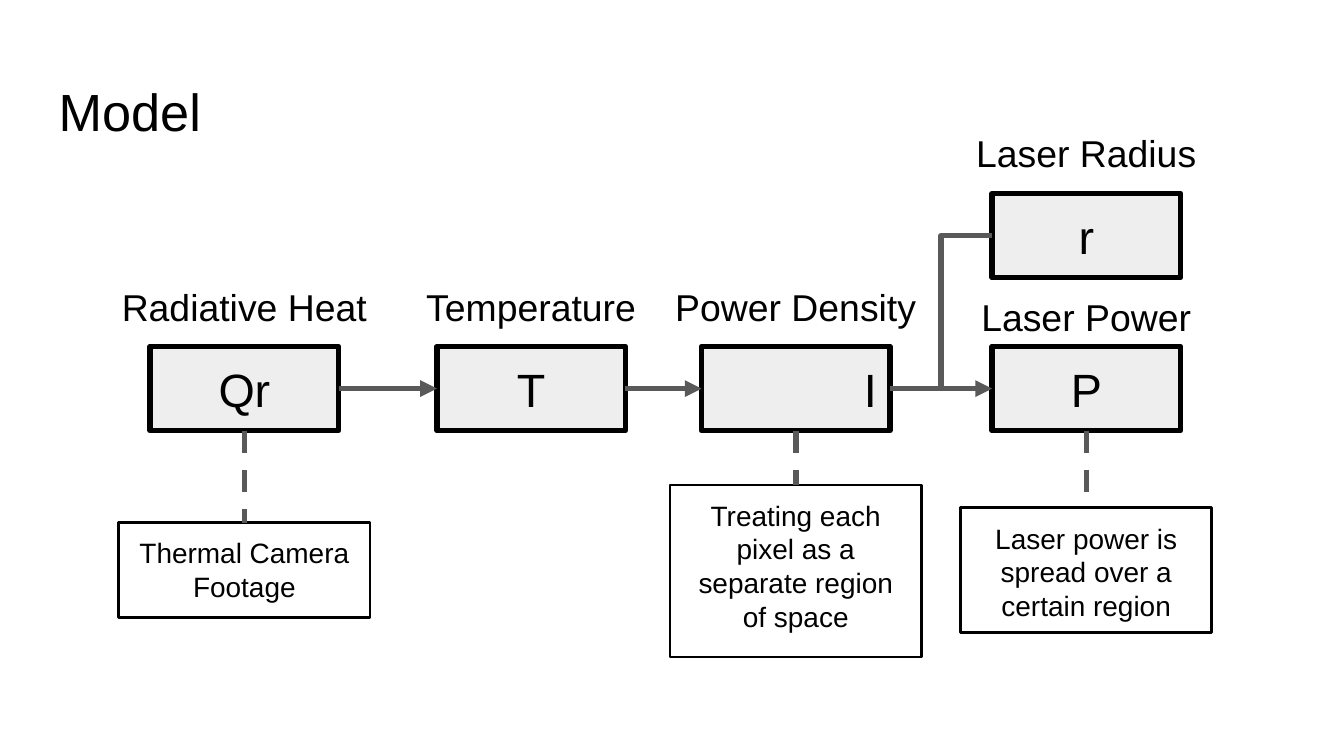
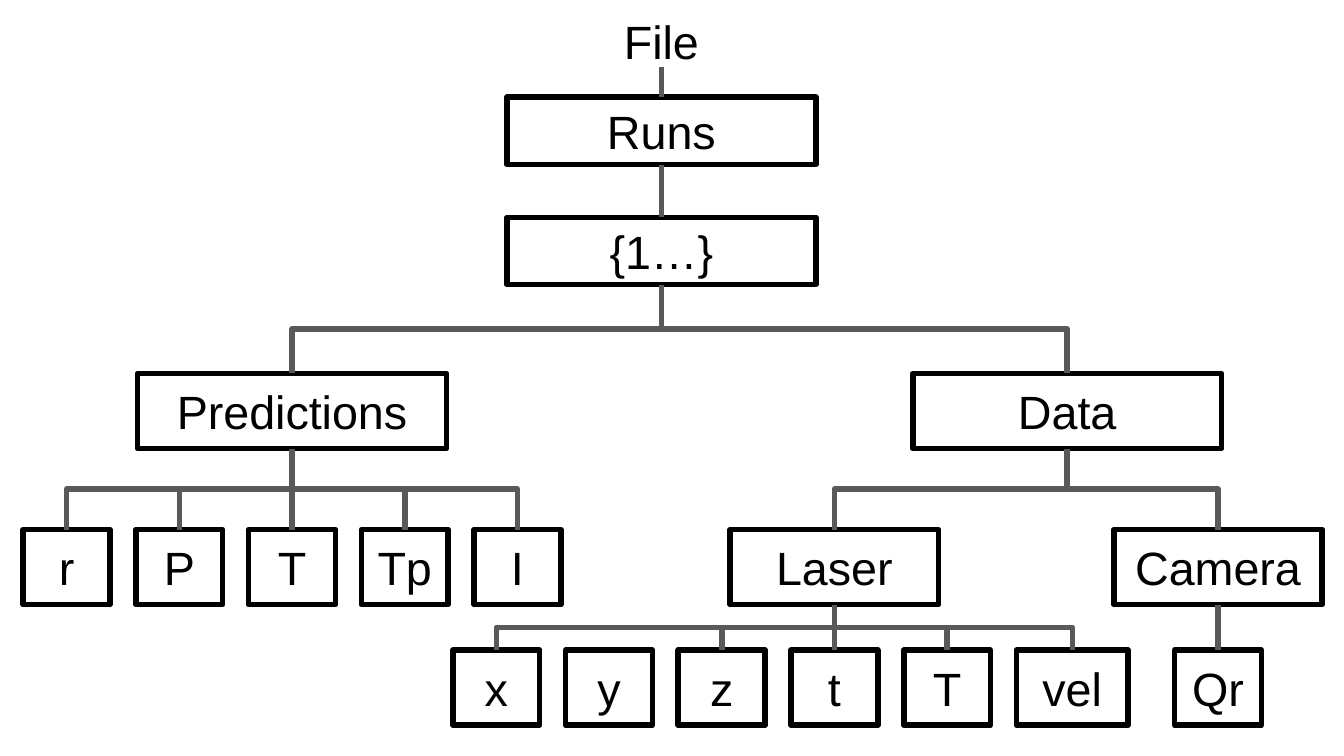
"""Build two slides: the laser model chain and the data file tree."""
from pptx import Presentation
from pptx.dml.color import RGBColor
from pptx.enum.dml import MSO_LINE
from pptx.enum.shapes import MSO_CONNECTOR as LINK, MSO_SHAPE
from pptx.enum.text import MSO_ANCHOR as ANCHOR, PP_ALIGN as ALIGN
from pptx.oxml.ns import qn
from pptx.util import Cm, Pt
from lxml.etree import SubElement

FONT = "Arial"
BLACK, WHITE, PALE, GREY = "000000", "FFFFFF", "EEEEEE", "595959"
INSET = 0.25
HEAVY, THIN = 3, 1.5
TITLE_SIZE, SYMBOL_SIZE, LABEL_SIZE, NOTE_SIZE = 28, 25, 20, 15
TOP, LEFT, BOTTOM, RIGHT = range(4)

STAGE_WIDTH, STAGE_HEIGHT, CHAIN_TOP = 3.56, 1.59, 6.55
LABEL_WIDTH, LABEL_HEIGHT, NOTE_WIDTH = 5.16, 1.17, 4.75
STAGES = [
    ("Qr", "Radiative Heat", 2.84, CHAIN_TOP, 5.13),
    ("T", "Temperature", 8.26, CHAIN_TOP, 5.13),
    ("I", "Power Density", 13.26, CHAIN_TOP, 5.13),
    ("P", "Laser Power", 18.75, CHAIN_TOP, 5.31),
    ("r", "Laser Radius", 18.75, 3.66, 2.21),
]
CHAIN = ["Qr", "T", "I", "P"]
NOTES = [
    ("Qr", "Thermal Camera Footage", 9.88, 1.8),
    ("I", "Treating each pixel as a separate region of space", 9.17, 3.25),
    ("P", "Laser power is spread over a certain region", 9.6, 2.36),
]

GROUPS = [
    ("Runs", 9.58, 1.84, 5.84, 1.27),
    ("{1…}", 9.58, 4.11, 5.84, 1.27),
    ("Predictions", 2.6, 7.06, 5.84, 1.42),
    ("Data", 17.25, 7.06, 5.84, 1.42),
    ("Laser", 13.8, 10.01, 3.94, 1.42),
    ("Camera", 21.05, 10.01, 3.94, 1.42),
]
BRANCHES = [
    ("File", "Runs"), ("Runs", "{1…}"),
    ("{1…}", "Predictions"), ("{1…}", "Data"),
    ("Data", "Laser"), ("Data", "Camera"),
]
LEAF_WIDTH, LEAF_HEIGHT, LEAF_PITCH = 1.64, 1.42, 2.13
WIDE_LEAVES = {"vel": 2.11}
UNLINKED = {"y"}
LEAVES = [
    ("Predictions", ["r", "P", "T", "Tp", "I"], 0.44, 10.01),
    ("Laser", ["x", "y", "z", "t", "T", "vel"], 8.56, 12.29),
    ("Camera", ["Qr"], 22.2, 12.29),
]


def rgb(color):
    return RGBColor.from_string(color)


def write(shape, words, size, align=ALIGN.CENTER, anchor=ANCHOR.TOP):
    frame = shape.text_frame
    frame.word_wrap = True
    frame.vertical_anchor = anchor
    frame.margin_left = frame.margin_right = Cm(INSET)
    frame.margin_top = frame.margin_bottom = Cm(INSET)
    paragraph = frame.paragraphs[0]
    paragraph.text = words
    paragraph.alignment = align
    paragraph.font.name = FONT
    paragraph.font.size = Pt(size)
    paragraph.font.color.rgb = rgb(BLACK)


def stroke(line, color, weight, dashed=False, arrow=False):
    line.color.rgb = rgb(color)
    line.width = Pt(weight)
    if dashed:
        line.dash_style = MSO_LINE.DASH
    outline = line._get_or_add_ln()
    SubElement(outline, qn("a:round"))
    if arrow:
        SubElement(outline, qn("a:tailEnd"), type="triangle")


def add_text(slide, words, place, size, align=ALIGN.CENTER):
    caption = slide.shapes.add_textbox(*map(Cm, place))
    write(caption, words, size, align)
    return caption


def add_box(slide, words, place, fill=None, size=SYMBOL_SIZE, weight=HEAVY,
            align=ALIGN.CENTER, anchor=ANCHOR.MIDDLE):
    box = slide.shapes.add_shape(MSO_SHAPE.RECTANGLE, *map(Cm, place))
    box.shadow.inherit = False
    if fill:
        box.fill.solid()
        box.fill.fore_color.rgb = rgb(fill)
    else:
        box.fill.background()
    stroke(box.line, BLACK, weight)
    write(box, words, size, align, anchor)
    return box


def join(slide, start, start_side, end, end_side, kind=LINK.STRAIGHT, **style):
    link = slide.shapes.add_connector(kind, 0, 0, 0, 0)
    link.begin_connect(start, start_side)
    link.end_connect(end, end_side)
    SubElement(link._element.spPr, qn("a:effectLst"))
    stroke(link.line, GREY, HEAVY, **style)
    return link


def branch(slide, parent, child):
    """Join parent bottom to child top, turning the elbow so it leaves downwards."""
    start_x = parent.left + parent.width // 2
    end_x = child.left + child.width // 2
    start_y, end_y = parent.top + parent.height, child.top
    shift, drop = end_x - start_x, end_y - start_y
    if abs(shift) < Cm(0.05):
        join(slide, parent, BOTTOM, child, TOP)
        return
    link = join(slide, parent, BOTTOM, child, TOP, LINK.ELBOW)
    link.width, link.height = drop, abs(shift)
    link.left = (start_x + end_x - drop) // 2
    link.top = (start_y + end_y - abs(shift)) // 2
    frame = link._element.spPr.xfrm
    frame.set("rot", str((270 if shift > 0 else 90) * 60000))
    frame.set("flipH", "1" if shift > 0 else "0")


def build_model(slide):
    add_text(slide, "Model", (0.86, 1.24, 23.67, 1.6), TITLE_SIZE, ALIGN.LEFT)
    stages, centers = {}, {}
    for symbol, label, left, top, label_top in STAGES:
        align = ALIGN.RIGHT if symbol == "I" else ALIGN.CENTER
        stages[symbol] = add_box(
            slide, symbol, (left, top, STAGE_WIDTH, STAGE_HEIGHT), PALE, align=align)
        centers[symbol] = left + STAGE_WIDTH / 2
        label_left = centers[symbol] - LABEL_WIDTH / 2
        add_text(slide, label, (label_left, label_top, LABEL_WIDTH, LABEL_HEIGHT),
                 LABEL_SIZE)
    for symbol, words, top, height in NOTES:
        place = (centers[symbol] - NOTE_WIDTH / 2, top, NOTE_WIDTH, height)
        note = add_box(slide, words, place, size=NOTE_SIZE, weight=THIN,
                       anchor=ANCHOR.TOP)
        join(slide, stages[symbol], BOTTOM, note, TOP, dashed=True)
    for source, target in zip(CHAIN, CHAIN[1:]):
        join(slide, stages[source], RIGHT, stages[target], LEFT, arrow=True)
    join(slide, stages["I"], RIGHT, stages["r"], LEFT, LINK.ELBOW)


def build_tree(slide):
    nodes = {"File": add_text(slide, "File", (10.46, 0, 4.08, 1.27), SYMBOL_SIZE)}
    for name, *place in GROUPS:
        nodes[name] = add_box(slide, name, place, WHITE)
    for parent, child in BRANCHES:
        branch(slide, nodes[parent], nodes[child])
    for parent, names, first_left, top in LEAVES:
        for index, name in enumerate(names):
            width = WIDE_LEAVES.get(name, LEAF_WIDTH)
            place = (first_left + index * LEAF_PITCH, top, width, LEAF_HEIGHT)
            leaf = add_box(slide, name, place, WHITE)
            if name not in UNLINKED:
                branch(slide, nodes[parent], leaf)


def main():
    deck = Presentation()
    deck.slide_width, deck.slide_height = Cm(25.4), Cm(14.29)
    blank = deck.slide_layouts[6]
    for build in (build_model, build_tree):
        build(deck.slides.add_slide(blank))
    deck.save("out.pptx")


if __name__ == "__main__":
    main()
